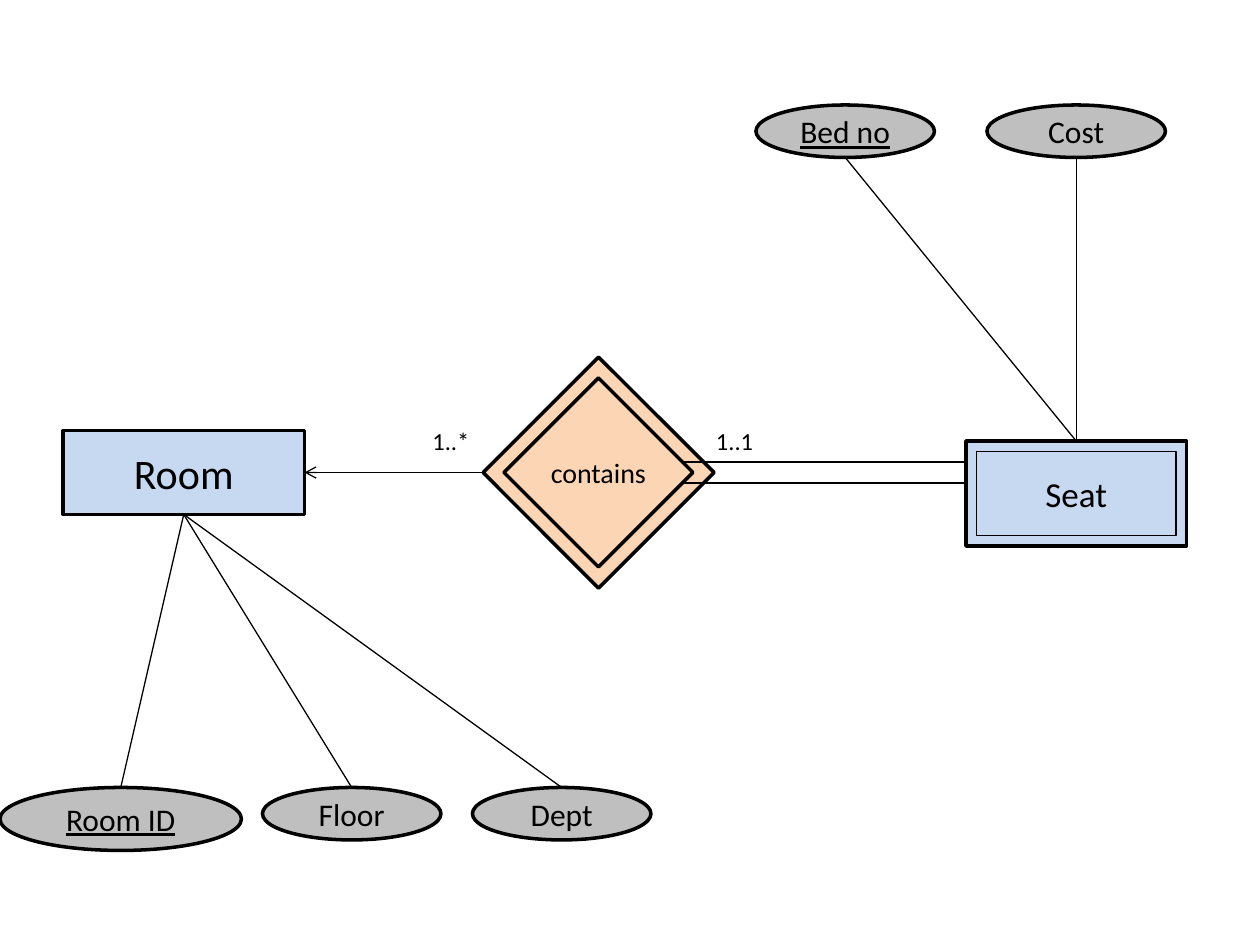
from lxml import etree
from pptx import Presentation
from pptx.dml.color import RGBColor
from pptx.enum.shapes import MSO_CONNECTOR, MSO_SHAPE
from pptx.enum.text import MSO_ANCHOR, PP_ALIGN
from pptx.oxml.ns import qn
from pptx.util import Pt

PX = 9525  # EMU per px, 96 px to the inch
RECT, OVAL = MSO_SHAPE.RECTANGLE, MSO_SHAPE.OVAL
RHOMB = MSO_SHAPE.FLOWCHART_DECISION
LINE = MSO_CONNECTOR.STRAIGHT
MID, CENTER, LEFT = MSO_ANCHOR.MIDDLE, PP_ALIGN.CENTER, PP_ALIGN.LEFT
TOP, WEST, SOUTH, EAST = 0, 1, 2, 3
BLUE, PEACH, GRAY, BLACK = "C6D9F1", "FCD5B5", "BFBFBF", "000000"
FONT = "Calibri"

# name: kind, box, fill, line width, text, size
NODES = {
    "seat": (RECT, (736, 336, 168, 80), BLUE, 2, "", 20),
    "seat inner": (RECT, (744, 344, 152, 64), BLUE, 1, "Seat", 20),
    "room": (RECT, (48, 328, 184, 64), BLUE, 2, "Room", 24),
    "link": (RHOMB, (368, 272, 176, 176), PEACH, 2, "", 16),
    "link inner": (RHOMB, (384, 288, 144, 144), PEACH, 2, "contains", 16),
}
# text, box, owner, is key
ATTRS = [
    ("Floor", (200, 600, 136, 40), "room", False),
    ("Room ID", (0, 600, 184, 48), "room", True),
    ("Dept", (360, 600, 136, 40), "room", False),
    ("Bed no", (576, 80, 136, 40), "seat", True),
    ("Cost", (752, 80, 136, 40), "seat", False),
]
SIDES = {"room": SOUTH, "seat": TOP}  # where attributes join
TOTAL = [352, 368]  # heights of the double line
LABELS = [("1..1", (536, 320, 64, 33)), ("1..*", (320, 320, 48, 33))]


def color(code):
    return RGBColor.from_string(code)


def emu(nums):
    return [n * PX for n in nums]


def write(shape, text, size, align, wrap=True, under=False):
    frame = shape.text_frame
    frame.text = text
    frame.word_wrap = wrap
    para = frame.paragraphs[0]
    para.alignment = align
    for run in para.runs:
        font = run.font
        font.name, font.size = FONT, Pt(size)
        font.color.rgb = color(BLACK)
        if under:
            font.underline = True


def draw(kind, box, fill, width, text, size, under=False):
    shape = slide.shapes.add_shape(kind, *emu(box))
    shape.shadow.inherit = False
    shape.fill.solid()
    shape.fill.fore_color.rgb = color(fill)
    shape.line.color.rgb = color(BLACK)
    shape.line.width = Pt(width)
    if text:
        shape.text_frame.vertical_anchor = MID
        write(shape, text, size, CENTER, kind != RHOMB, under)
    return shape


def wire(ends, start=None, stop=None, arrow=False):
    line = slide.shapes.add_connector(LINE, *emu(ends))
    if start:
        line.begin_connect(*start)
    if stop:
        line.end_connect(*stop)
    line.line.color.rgb = color(BLACK)
    line.line.width = Pt(0.75)
    props = line._element.spPr
    if arrow:
        tail = etree.SubElement(props.find(qn("a:ln")), qn("a:tailEnd"))
        tail.set("type", "arrow")
    etree.SubElement(props, qn("a:effectLst"))


def middle(box, side):
    x, y, w, h = box
    return {
        TOP: (x + w // 2, y),
        WEST: (x, y + h // 2),
        SOUTH: (x + w // 2, y + h),
        EAST: (x + w, y + h // 2),
    }[side]


deck = Presentation()
deck.slide_width, deck.slide_height = emu((960, 720))
slide = deck.slides.add_slide(deck.slide_layouts[6])

# Entities and relationship
nodes = {name: draw(*node) for name, node in NODES.items()}
boxes = {name: node[1] for name, node in NODES.items()}

# Total participation of the seat, arrow to the room
right = middle(boxes["link inner"], EAST)[0] - 8
for y in TOTAL:
    wire((right, y, boxes["seat"][0], y))
wire(middle(boxes["link"], WEST) + middle(boxes["room"], EAST),
     (nodes["link"], WEST), (nodes["room"], EAST), arrow=True)

# Attributes, each tied to its entity
for text, box, owner, key in ATTRS:
    draw(OVAL, box, GRAY, 2, text, 18, key)
    near = SIDES[owner]
    far = TOP if near == SOUTH else SOUTH
    wire(middle(boxes[owner], near) + middle(box, far), (nodes[owner], near))

# Cardinalities
for text, box in LABELS:
    label = slide.shapes.add_textbox(*emu(box))
    write(label, text, 14, LEFT, wrap=text == "1..1")

deck.save("out.pptx")
